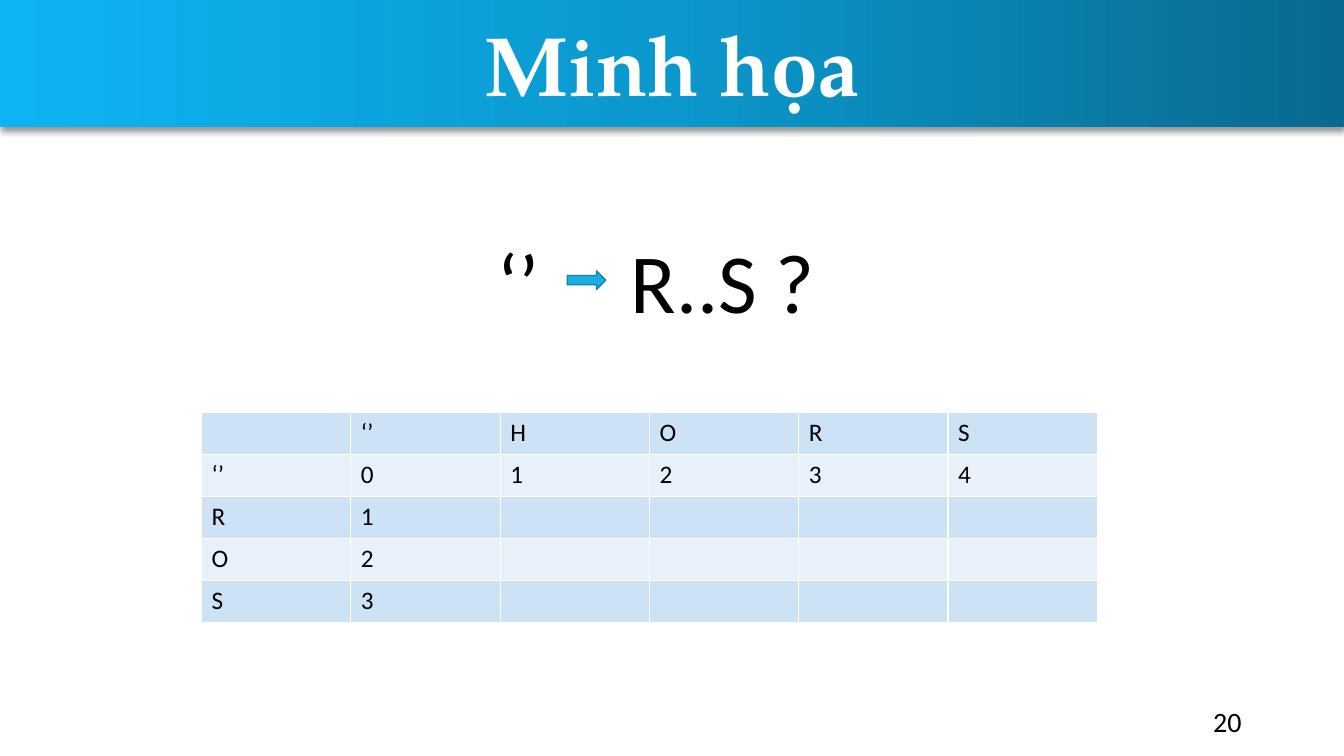
from dataclasses import dataclass

from lxml.etree import SubElement
from pptx import Presentation
from pptx.dml.color import RGBColor
from pptx.enum.shapes import MSO_SHAPE as Shape
from pptx.enum.text import MSO_ANCHOR as Anchor, PP_ALIGN as Align
from pptx.oxml import parse_xml
from pptx.oxml.ns import nsdecls, qn
from pptx.util import Pt


@dataclass(frozen=True)
class Theme:
    heading_font: str = "TeX Gyre Pagella"
    body_font: str = "Calibri"
    white: str = "FFFFFF"
    black: str = "000000"
    banner: tuple = ((0, "086A90"), (50, "0B98CD"), (100, "0DB4F3"))
    arrow: str = "1CADE4"
    arrow_line: str = "1580A9"
    bands: tuple = ("CDE3F5", "E8F1FA")
    large: int = 60
    number: int = 20
    cell: int = 18


theme = Theme()


def style(para, size, color=theme.black, name=theme.body_font, bold=False):
    for span in para.runs:
        span.font.size = Pt(size)
        span.font.name = name
        span.font.bold = bold
        span.font.color.rgb = RGBColor.from_string(color)


deck = Presentation()
deck.slide_width, deck.slide_height = Pt(960), Pt(540)
page = deck.slides.add_slide(deck.slide_layouts[5])
shapes = page.shapes

# Banner behind the title
banner = shapes.add_shape(Shape.RECTANGLE, 0, 0, Pt(960), Pt(90.5))
banner.line.fill.background()
stops = "".join(
    f'<a:gs pos="{place * 1000}"><a:srgbClr val="{color}"/></a:gs>'
    for place, color in theme.banner
)
gradient = parse_xml(
    f'<a:gradFill {nsdecls("a")} rotWithShape="1"><a:gsLst>{stops}</a:gsLst>'
    '<a:lin ang="10800000" scaled="0"/></a:gradFill>'
)
shadow = parse_xml(
    f'<a:effectLst {nsdecls("a")}><a:outerShdw blurRad="{Pt(4)}" dist="{Pt(3)}" '
    f'dir="5400000" algn="t" rotWithShape="0"><a:srgbClr val="{theme.black}">'
    '<a:alpha val="40000"/></a:srgbClr></a:outerShdw></a:effectLst>'
)
properties = banner._element.spPr
properties.find(qn("a:prstGeom")).addnext(gradient)
properties.find(qn("a:ln")).addnext(shadow)
shapes._spTree.insert(2, banner._element)

title = shapes.title
title.left, title.top, title.width, title.height = 0, Pt(5), Pt(960), Pt(80)
title.text_frame.text = "Minh họa"
title.text_frame.vertical_anchor = Anchor.MIDDLE
title.text_frame.paragraphs[0].alignment = Align.CENTER
style(title.text_frame.paragraphs[0], theme.large, theme.white, theme.heading_font, True)

# Edit distance table
rows = [
    ["", "‘’", "H", "O", "R", "S"],
    ["‘’", "0", "1", "2", "3", "4"],
    ["R", "1"],
    ["O", "2"],
    ["S", "3"],
]
table = shapes.add_table(5, 6, Pt(144), Pt(294.5), Pt(640), Pt(150)).table
table.first_row = False
table.horz_banding = False
for i, row in enumerate(rows):
    for j in range(6):
        cell = table.cell(i, j)
        cell.text_frame.text = row[j] if j < len(row) else ""
        para = cell.text_frame.paragraphs[0]
        para.font.size = Pt(theme.cell)
        style(para, theme.cell)
        borders = cell._tc.get_or_add_tcPr()
        for side in ("a:lnL", "a:lnR", "a:lnT", "a:lnB"):
            border = SubElement(borders, qn(side), w=str(Pt(1)))
            paint = SubElement(border, qn("a:solidFill"))
            SubElement(paint, qn("a:srgbClr"), val=theme.white)
        cell.fill.solid()
        cell.fill.fore_color.rgb = RGBColor.from_string(theme.bands[i % 2])

# Question, with the arrow in the gap left by the tab
question = shapes.add_textbox(Pt(348), Pt(160.5), Pt(247), Pt(80))
question.text_frame.word_wrap = True
question.text_frame.text = "‘’\tR..S ?"
para = question.text_frame.paragraphs[0]
tabs = SubElement(para._p.get_or_add_pPr(), qn("a:tabLst"))
SubElement(tabs, qn("a:tab"), pos=str(Pt(95)), algn="l")
style(para, theme.large)

arrow = shapes.add_shape(Shape.RIGHT_ARROW, Pt(405.25), Pt(193.5), Pt(27.5), Pt(13.25))
arrow.shadow.inherit = False
arrow.fill.solid()
arrow.fill.fore_color.rgb = RGBColor.from_string(theme.arrow)
arrow.line.color.rgb = RGBColor.from_string(theme.arrow_line)
arrow.line.width = Pt(1)

page_number = shapes.add_textbox(Pt(678), Pt(500.5), Pt(216), Pt(28.75))
page_number.text_frame.word_wrap = True
page_number.text_frame.vertical_anchor = Anchor.MIDDLE
page_number.text_frame.text = "20"
page_number.text_frame.paragraphs[0].alignment = Align.RIGHT
style(page_number.text_frame.paragraphs[0], theme.number)

deck.save("out.pptx")
